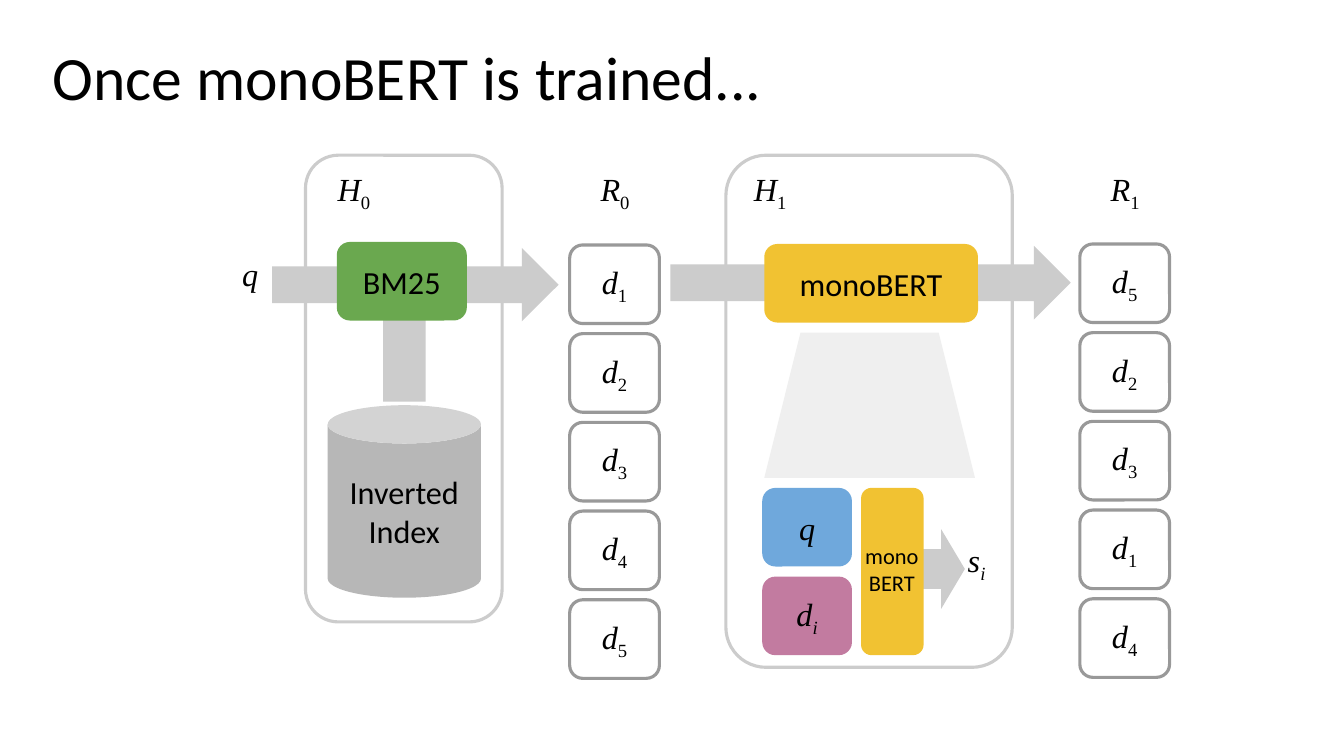
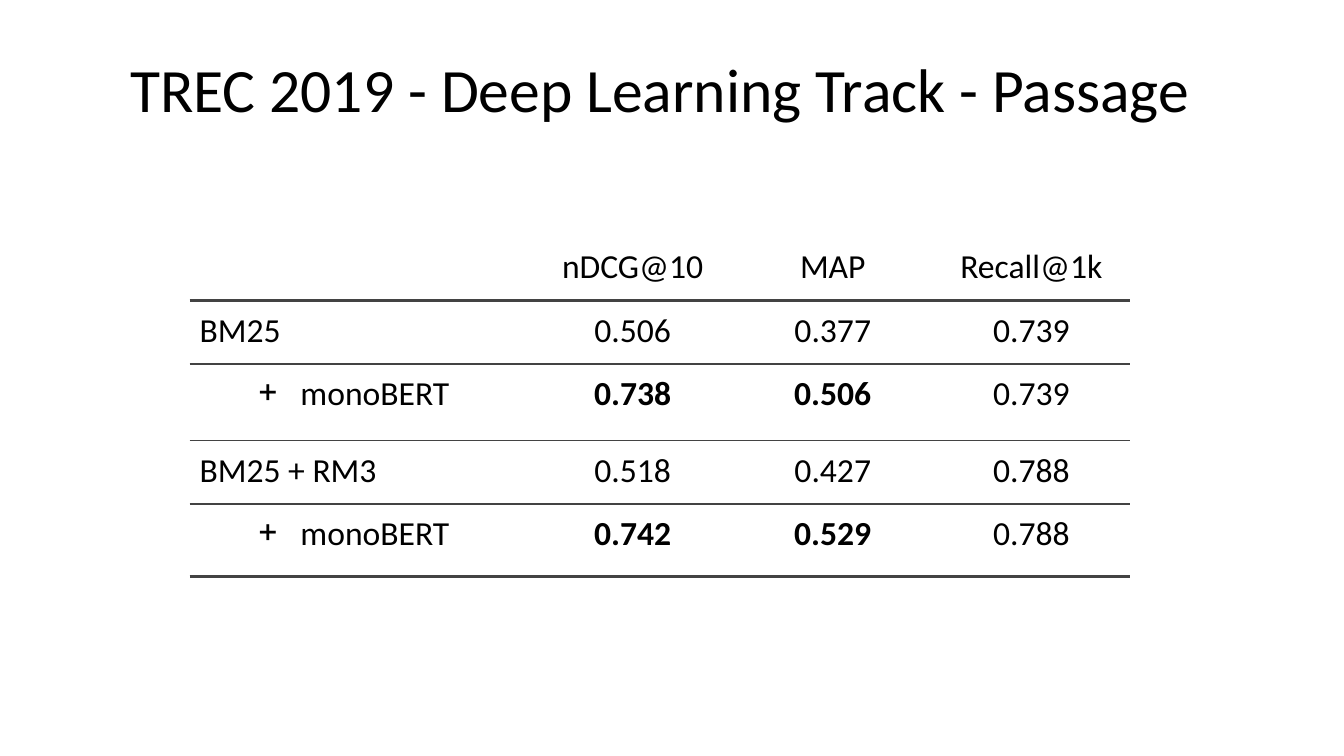
from dataclasses import dataclass

from lxml import etree
from pptx import Presentation
from pptx.dml.color import RGBColor
from pptx.enum import shapes, text
from pptx.oxml import ns
from pptx.util import Inches, Pt

SHAPE = shapes.MSO_SHAPE
CENTER, LEFT = text.PP_ALIGN.CENTER, text.PP_ALIGN.LEFT
TOP, MIDDLE = text.MSO_ANCHOR.TOP, text.MSO_ANCHOR.MIDDLE
SANS, SERIF = "Calibri", "Times New Roman"
BLACK, WHITE = "000000", "FFFFFF"
PALE, SILVER, GRAY, STEEL, RULE = "EFEFEF", "CCCCCC", "999999", "B7B7B7", "434343"
GREEN, YELLOW, BLUE, PINK = "6AA84F", "F1C232", "6FA8DC", "C27BA0"
NO_TABLE_STYLE = "{2D5ABB26-0587-4C30-8999-92F81FD0307C}"


def color(value):
    """Turn a hex string into a colour."""
    return RGBColor.from_string(value)


@dataclass
class Run:
    """A piece of text with its own look."""
    text: str
    font: str = SANS
    italic: bool = False
    bold: bool = False
    subscript: bool = False


def symbol(letter, index=""):
    """Return the runs of a variable with an optional index."""
    runs = [Run(letter, SERIF, italic=True)]
    if index:
        runs.append(Run(index, SERIF, italic=index.isalpha(), subscript=True))
    return runs


class Deck:
    """Holds the presentation, its style and the current slide."""

    def __init__(self):
        self.presentation = Presentation()
        self.presentation.slide_width = Inches(13.33)
        self.presentation.slide_height = Inches(7.5)
        self.slide = None

    def new_slide(self, title, box, align):
        """Start a slide with a placed title."""
        layout = self.presentation.slide_layouts[5]
        self.slide = self.presentation.slides.add_slide(layout)
        shape = self.slide.shapes.title
        shape.left, shape.top, shape.width, shape.height = map(Inches, box)
        self.set_text(shape.text_frame, [[Run(title)]], 44, align, inset=0.05)
        shape.text_frame.paragraphs[0].line_spacing = 0.9

    def set_text(self, frame, paragraphs, size=23, align=CENTER, anchor=MIDDLE, inset=0.1):
        """Put paragraphs of runs into a text frame."""
        frame.word_wrap = True
        frame.auto_size = text.MSO_AUTO_SIZE.NONE
        frame.vertical_anchor = anchor
        frame.margin_left = frame.margin_right = Inches(0.1)
        frame.margin_top = frame.margin_bottom = Inches(inset)
        for number, runs in enumerate(paragraphs):
            paragraph = frame.add_paragraph() if number else frame.paragraphs[0]
            self.add_runs(paragraph, runs, size, align)

    def add_runs(self, paragraph, runs, size, align):
        """Add formatted runs to a paragraph."""
        paragraph.alignment = align
        for part in runs:
            run = paragraph.add_run()
            run.text = part.text
            run.font.name, run.font.size = part.font, Pt(size)
            run.font.italic, run.font.bold = part.italic, part.bold
            run.font.color.rgb = color(BLACK)
            if part.subscript:
                run._r.get_or_add_rPr().set("baseline", "-25000")

    def block(self, kind, box, fill=None, line=None, runs=None, adjust=None, turn=0):
        """Draw a preset shape with optional centred text."""
        shape = self.slide.shapes.add_shape(kind, *map(Inches, box))
        shape.shadow.inherit = False
        shape.rotation = turn
        if adjust is not None:
            shape.adjustments[0] = adjust
        if fill:
            shape.fill.solid()
            shape.fill.fore_color.rgb = color(fill)
        else:
            shape.fill.background()
        if line:
            shape.line.color.rgb = color(line)
            shape.line.width = Pt(2.25)
        else:
            shape.line.fill.background()
        if runs:
            self.set_text(shape.text_frame, [runs])

    def label(self, box, paragraphs, **style):
        """Place free text."""
        shape = self.slide.shapes.add_textbox(*map(Inches, box))
        self.set_text(shape.text_frame, paragraphs, **style)

    def ranking(self, left, top, indexes):
        """Stack document cards in ranked order."""
        for rank, index in enumerate(indexes):
            box = (left, top + 0.88 * rank, 0.89, 0.78)
            self.block(SHAPE.ROUNDED_RECTANGLE, box, WHITE, GRAY, symbol("d", index))

    def table(self, left, top, widths, heights, rows, rules):
        """Draw a plain table; rules maps a row to the weight below it."""
        frame = self.slide.shapes.add_table(
            len(rows), len(widths), Inches(left), Inches(top),
            Inches(sum(widths)), Inches(sum(heights)))
        table = frame.table
        table.first_row = table.horz_banding = False
        table._tbl.tblPr.find(ns.qn("a:tableStyleId")).text = NO_TABLE_STYLE
        for column, width in zip(table.columns, widths):
            column.width = Inches(width)
        for row, height in zip(table.rows, heights):
            row.height = Inches(height)
        for r, values in enumerate(rows):
            for c, value in enumerate(values):
                self.cell(table.cell(r, c), value, LEFT if c == 0 else CENTER)
                self.border(table.cell(r, c), "a:lnB", rules.get(r))
                self.border(table.cell(r, c), "a:lnT", rules.get(r - 1))

    def cell(self, cell, value, align):
        """Fill one cell; a leading plus makes a bullet, a star makes bold."""
        cell.fill.background()
        cell.margin_left = cell.margin_right = Inches(0.1)
        cell.margin_top = cell.margin_bottom = Inches(0.1)
        paragraph = cell.text_frame.paragraphs[0]
        if value.startswith("+"):
            properties = paragraph._p.get_or_add_pPr()
            properties.set("marL", str(Inches(1)))
            properties.set("indent", str(Inches(-0.42)))
            etree.SubElement(properties, ns.qn("a:buChar")).set("char", "+")
        if value:
            run = Run(value.strip("+*"), bold=value.startswith("*"))
            self.add_runs(paragraph, [run], 24, align)

    def border(self, cell, edge, weight):
        """Rule one edge of a cell when it has a weight."""
        if weight:
            line = etree.Element(ns.qn(edge), w=str(Pt(weight)))
            fill = etree.SubElement(line, ns.qn("a:solidFill"))
            etree.SubElement(fill, ns.qn("a:srgbClr")).set("val", RULE)
            cell._tc.get_or_add_tcPr().insert(0, line)


def pipeline_slide(deck):
    """Show retrieval followed by reranking."""
    rounded, arrow = SHAPE.ROUNDED_RECTANGLE, SHAPE.RIGHT_ARROW
    deck.new_slide("Once monoBERT is trained...", (0.42, 0.23, 7.6, 1.13), LEFT)
    deck.block(rounded, (7.2, 1.54, 2.84, 5.08), line=SILVER, adjust=0.14)
    deck.block(rounded, (3.03, 1.54, 1.95, 4.63), line=SILVER)
    deck.block(arrow, (9.1, 5.25, 0.47, 0.79), SILVER)
    deck.block(arrow, (3.29, 2.92, 1.44, 0.69), SILVER, adjust=0.61, turn=270)
    deck.block(arrow, (6.65, 2.44, 3.97, 0.73), SILVER)
    deck.block(arrow, (2.7, 2.46, 2.84, 0.73), SILVER)
    deck.ranking(5.65, 2.43, "12345")
    deck.ranking(10.71, 2.42, "52314")
    deck.block(SHAPE.CAN, (3.25, 4.02, 1.52, 1.91), STEEL, runs=[Run("Inverted Index")])
    deck.block(rounded, (3.34, 2.4, 1.29, 0.78), GREEN, runs=[Run("BM25")])
    deck.block(rounded, (7.58, 2.42, 2.12, 0.78), YELLOW, runs=[Run("monoBERT")])
    deck.block(SHAPE.TRAPEZOID, (7.58, 3.3, 2.09, 1.44), PALE)
    deck.block(rounded, (7.56, 4.84, 0.89, 0.78), BLUE, runs=symbol("q"))
    deck.block(rounded, (7.56, 5.72, 0.89, 0.78), PINK, runs=symbol("d", "i"))
    deck.block(rounded, (8.54, 4.84, 0.62, 1.66), YELLOW)
    for left, letter, index in ((3.13, "H", "0"), (5.72, "R", "0"),
                                (7.26, "H", "1"), (10.78, "R", "1")):
        deck.label((left, 1.68, 0.76, 0.44), [symbol(letter, index)])
    deck.label((2.17, 2.42, 0.62, 0.79), [symbol("q")], anchor=TOP)
    deck.label((8.4, 5.28, 0.89, 0.79), [[Run("mono")], [Run("BERT")]], size=16, anchor=TOP)
    deck.label((9.5, 5.3, 0.76, 0.56), [symbol("s", "i")], align=LEFT)


def results_slide(deck):
    """Show the benchmark scores."""
    deck.new_slide("TREC 2019 - Deep Learning Track - Passage", (0.8, 0.19, 11.5, 1.45), CENTER)
    rows = [
        ("", "nDCG@10", "MAP", "Recall@1k"),
        ("BM25", "0.506", "0.377", "0.739"),
        ("+monoBERT", "*0.738", "*0.506", "0.739"),
        ("BM25 + RM3", "0.518", "0.427", "0.788"),
        ("+monoBERT", "*0.742", "*0.529", "0.788"),
    ]
    deck.table(1.88, 2.35, (3.4, 1.99, 1.98, 1.96), (0.63, 0.63, 0.76, 0.63, 0.72),
               rows, {0: 2.25, 2: 1.5, 4: 2.25})


def main():
    """Build and save the slides."""
    deck = Deck()
    pipeline_slide(deck)
    results_slide(deck)
    deck.presentation.save("out.pptx")


if __name__ == "__main__":
    main()
